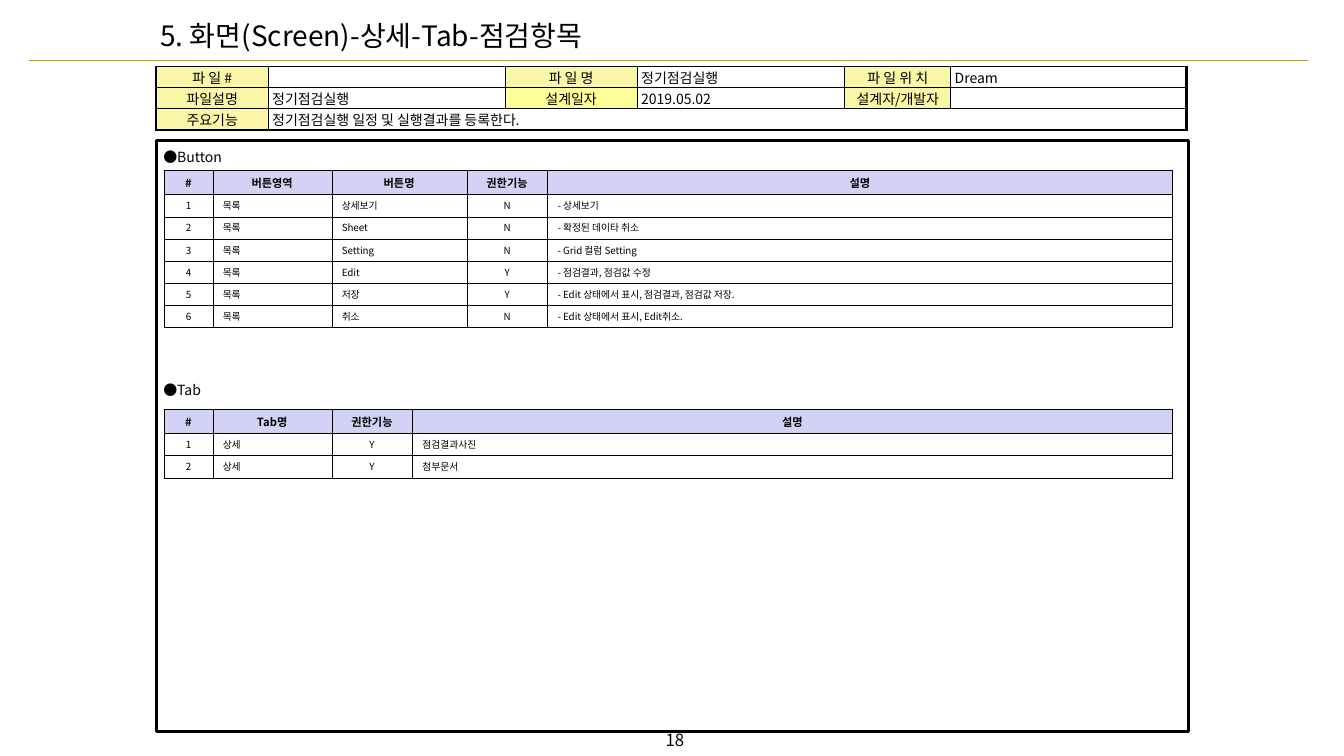
from pptx import Presentation
from pptx.dml.color import RGBColor
from pptx.enum.shapes import MSO_CONNECTOR, MSO_SHAPE
from pptx.enum.text import MSO_ANCHOR, PP_ALIGN
from pptx.oxml.ns import qn
from pptx.util import Inches, Pt
from lxml.etree import SubElement

FONT = "Noto Sans CJK KR"
COLORS = {"ink": "000000", "paper": "FFFFFF", "rule": "CC9900",
          "label": "F9F7A7", "date": "FFFF99", "head": "D2D2F4"}

TITLE = "5. 화면(Screen)-상세-Tab-점검항목"
PAGE = "18"
INFO = [
    ["파 일 #", "", "파 일 명", "정기점검실행", "파 일 위 치", "Dream"],
    ["파일설명", "정기점검실행", "설계일자", "2019.05.02", "설계자/개발자", ""],
    ["주요기능", "정기점검실행 일정 및 실행결과를 등록한다.", "", "", "", ""],
]
INFO_COLS = [1.11, 2.35, 1.31, 2.06, 1.05, 2.34]
SECTIONS = [
    {"name": "●Button", "top": 1.44, "table_top": 1.69,
     "cols": [0.48, 1.18, 1.34, 0.8, 6.2], "centred": (0, 3),
     "rows": [
         ["#", "버튼영역", "버튼명", "권한기능", "설명"],
         ["1", "목록", "상세보기", "N", "- 상세보기"],
         ["2", "목록", "Sheet", "N", "- 확정된 데이타 취소"],
         ["3", "목록", "Setting", "N", "- Grid 컬럼 Setting"],
         ["4", "목록", "Edit", "Y", "- 점검결과, 점검값 수정"],
         ["5", "목록", "저장", "Y", "- Edit 상태에서 표시, 점검결과, 점검값 저장."],
         ["6", "목록", "취소", "N", "- Edit 상태에서 표시, Edit취소."],
     ]},
    {"name": "●Tab", "top": 3.75, "table_top": 4.06,
     "cols": [0.48, 1.18, 0.8, 7.54], "centred": (0, 2),
     "rows": [
         ["#", "Tab명", "권한기능", "설명"],
         ["1", "상세", "Y", "점검결과사진"],
         ["2", "상세", "Y", "첨부문서"],
     ]},
]
LEFT, TABLE_LEFT, WIDTH = 1.55, 1.63, 10.24
INFO_ROW, HEAD_ROW, BODY_ROW = 0.21, 0.24, 0.22


def color(name):
    return RGBColor.from_string(COLORS[name])


def write(tf, text, size, centred=False, bold=False):
    tf.text = text
    p = tf.paragraphs[0]
    p.alignment = PP_ALIGN.CENTER if centred else PP_ALIGN.LEFT
    p.space_before = Pt(0)
    for r in p.runs:
        r.font.size, r.font.bold, r.font.name = Pt(size), bold, FONT
        r.font.color.rgb = color("ink")
        SubElement(r._r.get_or_add_rPr(), qn("a:ea"), typeface=FONT)
    if not text:
        SubElement(p._p, qn("a:endParaRPr"), sz=str(size * 100))
    return p


def set_margins(box, left, top, right, bottom):
    box.margin_left, box.margin_top = Inches(left), Inches(top)
    box.margin_right, box.margin_bottom = Inches(right), Inches(bottom)


def add_text(s, text, at, size, margins, centred=False):
    tf = s.shapes.add_textbox(*map(Inches, at)).text_frame
    tf.word_wrap = True
    set_margins(tf, *margins)
    return tf, write(tf, text, size, centred)


def set_borders(cell, widths):
    tcPr = cell._tc.get_or_add_tcPr()
    for side, width in zip("LRTB", widths):
        ln = SubElement(tcPr, qn(f"a:ln{side}"), w=str(Pt(width)))
        fill = SubElement(ln, qn("a:solidFill"))
        SubElement(fill, qn("a:srgbClr"), val=COLORS["ink"])


def add_grid(s, left, top, cols, heights):
    frame = s.shapes.add_table(len(heights), len(cols), Inches(left), Inches(top),
                               Inches(sum(cols)), Inches(sum(heights)))
    table = frame.table
    table.first_row = table.horz_banding = False
    for column, width in zip(table.columns, cols):
        column.width = Inches(width)
    for row, height in zip(table.rows, heights):
        row.height = Inches(height)
    return table


def fill_cell(cell, text, size, fill, borders, margins, centred, bold=False):
    set_borders(cell, borders)
    cell.fill.solid()
    cell.fill.fore_color.rgb = color(fill)
    cell.vertical_anchor = MSO_ANCHOR.MIDDLE
    set_margins(cell, *margins)
    write(cell.text_frame, text, size, centred, bold)


def add_info(s):
    table = add_grid(s, LEFT, 0.66, INFO_COLS, [INFO_ROW] * len(INFO))
    last_row, last_col = len(INFO) - 1, len(INFO_COLS) - 1
    for i, row in enumerate(INFO):
        for j, text in enumerate(row):
            label = j == 0 or (j % 2 == 0 and i < last_row)
            fill = "date" if text == "설계일자" else "label" if label else "paper"
            borders = (1.5 if j == 0 else 1,
                       2.25 if j == last_col or (i == last_row and j) else 1,
                       1.5 if i == 0 else 1,
                       2.25 if i == last_row else 1)
            side = 0.02 if label else 0.04
            fill_cell(table.cell(i, j), text, 10, fill, borders,
                      (side, 0, side, 0), label)
    table.cell(last_row, 1).merge(table.cell(last_row, last_col))


def add_section(s, section):
    _, p = add_text(s, section["name"], (1.62, section["top"], 1.9, 0.23), 10,
                    (0, 0.05, 0.02, 0.05))
    p.line_spacing = 0.9
    rows = section["rows"]
    heights = [HEAD_ROW] + [BODY_ROW] * (len(rows) - 1)
    table = add_grid(s, TABLE_LEFT, section["table_top"], section["cols"], heights)
    for i, row in enumerate(rows):
        head = i == 0
        for j, text in enumerate(row):
            fill_cell(table.cell(i, j), text, 8 if head else 7,
                      "head" if head else "paper", [0.25] * 4,
                      (0.1, 0.03, 0.1, 0.03), head or j in section["centred"], head)


def main():
    prs = Presentation()
    prs.slide_width, prs.slide_height = Inches(13.33), Inches(7.5)
    s = prs.slides.add_slide(prs.slide_layouts[5])

    rule = s.shapes.add_connector(MSO_CONNECTOR.STRAIGHT, Inches(0.29), Inches(0.6),
                                  Inches(12.97), Inches(0.6))
    rule.line.color.rgb, rule.line.width = color("rule"), Pt(1)
    SubElement(rule._element.spPr, qn("a:effectLst"))

    title = s.shapes.title
    title.left, title.top, title.width, title.height = map(Inches, (1.51, 0.1, 7.22, 0.5))
    title.text_frame.vertical_anchor = MSO_ANCHOR.MIDDLE
    set_margins(title.text_frame, 0.08, 0.08, 0.08, 0.08)
    write(title.text_frame, TITLE, 20)

    frame = s.shapes.add_shape(MSO_SHAPE.RECTANGLE, Inches(LEFT), Inches(1.39),
                               Inches(WIDTH), Inches(5.87))
    frame.shadow.inherit = False
    frame.fill.background()
    frame.line.color.rgb, frame.line.width = color("ink"), Pt(2.25)

    add_info(s)
    for section in SECTIONS:
        add_section(s, section)

    tf, _ = add_text(s, PAGE, (5.33, 7.19, 2.73, 0.3), 12, (0.1, 0.05, 0.1, 0.05), True)
    tf.vertical_anchor = MSO_ANCHOR.MIDDLE
    prs.save("out.pptx")


if __name__ == "__main__":
    main()
